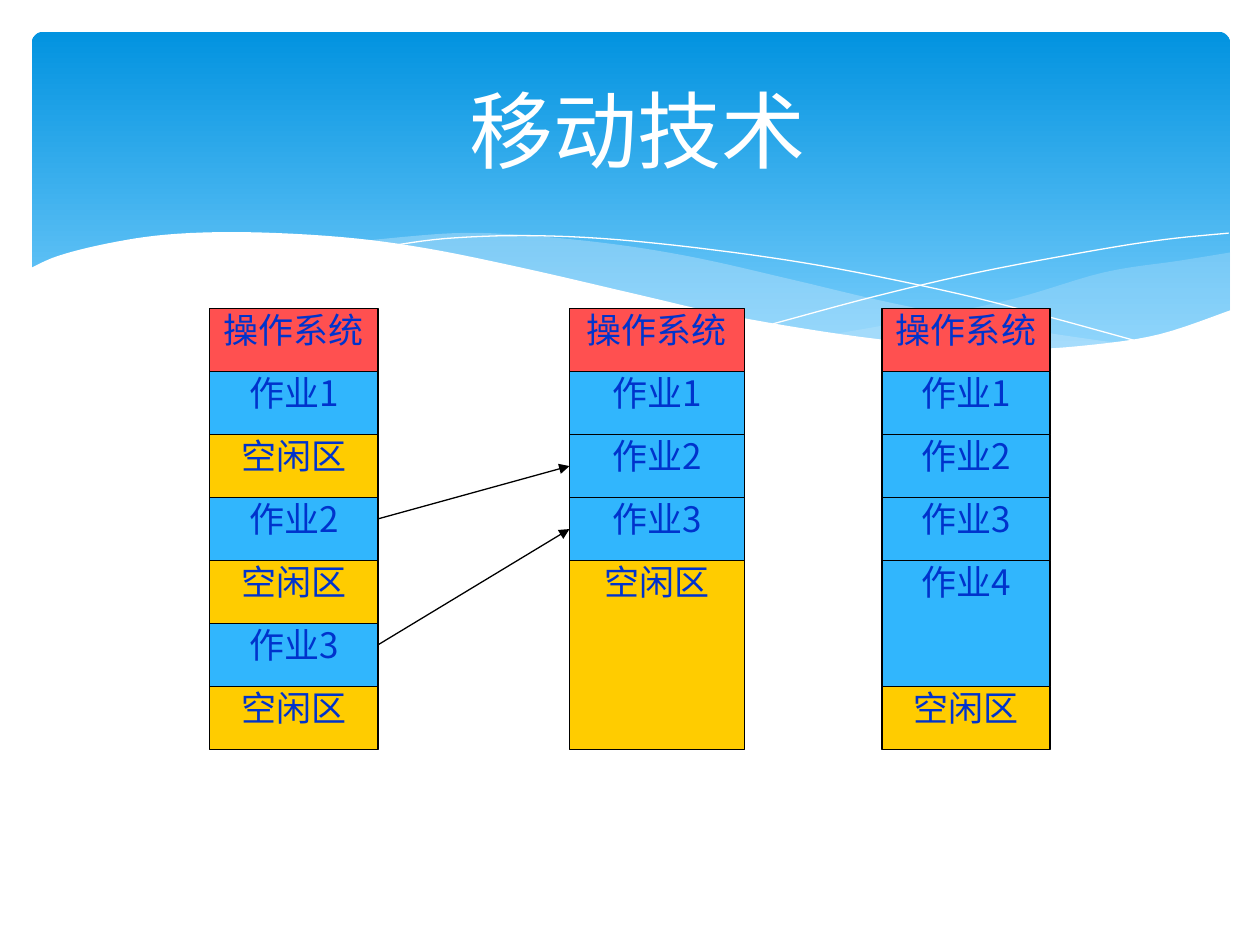
from pptx import Presentation
from pptx.dml.color import RGBColor
from pptx.enum.shapes import MSO_CONNECTOR as Connector, MSO_SHAPE as Shape
from pptx.enum.text import MSO_ANCHOR as Anchor, PP_ALIGN as Align
from pptx.oxml.ns import qn
from pptx.util import Cm, Pt
from lxml.etree import SubElement

COLORS = {"top": "0293E0", "bottom": "83D3FE", "wave": "C6E7FC", "white": "FFFFFF", "black": "000000",
          "system": "FF5050", "job": "31B6FD", "free": "FFCC00", "text": "0033CC"}
TITLE_FONT, CELL_FONT = "Cabin", "Noto Sans CJK JP"
ROW = 1.27
UNIT = 1000

RIGHT_TOP = [(24.16, 4.45), (23.11, 4.62), (21.62, 4.85), (19.81, 5.38), (17.88, 5.79), (16.15, 6.1)]
RIGHT_BASE = [(16.15, 6.1), (17.27, 6.25), (18.59, 6.38), (20.04, 6.43), (21.51, 6.32), (22.76, 6.1),
              (24.16, 5.64)]
MIDDLE_TOP = [(22.05, 6.3), (19.86, 5.97), (17.3, 5.46), (15.34, 5), (13.46, 4.57), (11.79, 4.29),
              (10.03, 4.11), (8.53, 4.06), (6.63, 4.22)]
MIDDLE_BASE = [(6.63, 4.22), (8.56, 4.52), (10.21, 4.85), (11.84, 5.26), (13.74, 5.66), (15.88, 6.07),
               (17.7, 6.32), (19.58, 6.45), (20.9, 6.43), (22.05, 6.3)]
FALLING_LINE = [(7.21, 4.32), (8.33, 4.17), (9.93, 4.11), (11.79, 4.19), (14.15, 4.45), (16.26, 4.78),
                (18.67, 5.28), (20.47, 5.74), (22.4, 6.27)]
RISING_LINE = [(14.94, 5.89), (17.02, 5.33), (19.08, 4.85), (21.36, 4.42), (22.83, 4.19), (24.13, 4.06)]
FRONT_TOP = [(24.18, 5.61), (22.73, 6.1), (21.29, 6.32), (19.91, 6.4), (18.26, 6.32), (16.33, 6.1),
             (14.07, 5.72), (12.14, 5.28), (9.98, 4.78), (7.98, 4.37), (6.25, 4.14), (4.27, 4.04),
             (2.72, 4.09), (1.52, 4.27), (0.53, 4.52), (-0.05, 4.78)]
FRONT_BASE = [(-0.05, 7.72), (24.18, 7.72)]

SYSTEM = ("操作系统", "system", 1)
COLUMNS = [
    ((4.23, 6.22, 3.39), [SYSTEM, ("作业1", "job", 1), ("空闲区", "free", 1), ("作业2", "job", 1),
                          ("空闲区", "free", 1), ("作业3", "job", 1), ("空闲区", "free", 1)]),
    ((11.48, 6.22, 3.53), [SYSTEM, ("作业1", "job", 1), ("作业2", "job", 1), ("作业3", "job", 1),
                           ("空闲区", "free", 3)]),
    ((17.78, 6.22, 3.39), [SYSTEM, ("作业1", "job", 1), ("作业2", "job", 1), ("作业3", "job", 1),
                           ("作业4", "job", 2), ("空闲区", "free", 1)]),
]
MOVES = [(3, 2), (5, 3)]


def color(name):
    """Return the named colour."""
    return RGBColor.from_string(COLORS[name])


def fill_solid(shape, name):
    """Fill a shape with one named colour."""
    shape.fill.solid()
    shape.fill.fore_color.rgb = color(name)


def write(shape, text, font, size, ink, frame_format):
    """Put one centred line of text in a shape."""
    frame = shape.text_frame
    for name, value in frame_format.items():
        setattr(frame, name, value)
    para = frame.paragraphs[0]
    para.alignment = Align.CENTER
    span = para.add_run()
    span.text = text
    for name, value in {"name": font, "size": Pt(size)}.items():
        setattr(span.font, name, value)
    span.font.color.rgb = color(ink)
    SubElement(span.font._element, qn("a:ea"), typeface=font)


def smooth(knots, steps=6):
    """Return points of a Catmull-Rom curve through the knots."""
    padded = [knots[0], *knots, knots[-1]]
    points = [knots[0]]
    for a, b, c, d in zip(padded, padded[1:], padded[2:], padded[3:]):
        for step in range(1, steps + 1):
            t = step / steps
            points.append(tuple(
                (2 * q + (r - p) * t + (2 * p - 5 * q + 4 * r - s) * t ** 2 + (3 * q - p - 3 * r + s) * t ** 3) / 2
                for p, q, r, s in zip(a, b, c, d)))
    return points


def add_outline(page, box, points, closed):
    """Draw a freeform whose points are relative to the box."""
    start, *rest = [(x * UNIT, y * UNIT) for x, y in points]
    builder = page.shapes.build_freeform(*start, scale=Cm(1) / UNIT)
    builder.add_line_segments(rest, close=closed)
    shape = builder.convert_to_shape(Cm(box[0]), Cm(box[1]))
    shape.shadow.inherit = False
    return shape


def add_wave(page, box, points, name, alpha=100):
    """Draw one filled wave."""
    wave = add_outline(page, box, points, True)
    fill_solid(wave, name)
    wave.line.fill.background()
    if alpha < 100:
        tint = wave._element.spPr.find(qn("a:solidFill"))[0]
        SubElement(tint, qn("a:alpha"), val=str(alpha * 1000))


def add_banner(page, box):
    """Draw the gradient panel with its waves and thin lines."""
    panel = page.shapes.add_shape(Shape.ROUNDED_RECTANGLE, *map(Cm, box))
    panel.shadow.inherit = False
    panel.adjustments[0] = 0.034
    panel.line.fill.background()
    panel.fill.gradient()
    panel.fill.gradient_angle = 270
    for stop, name, position in zip(panel.fill.gradient_stops, ("top", "bottom"), (0, 1)):
        stop.color.rgb = color(name)
        stop.position = position
    add_wave(page, box, smooth(RIGHT_TOP) + smooth(RIGHT_BASE), "wave", 29)
    add_wave(page, box, smooth(MIDDLE_TOP) + smooth(MIDDLE_BASE), "wave", 40)
    for knots in (FALLING_LINE, RISING_LINE):
        curve = add_outline(page, box, smooth(knots), False)
        curve.fill.background()
        curve.line.color.rgb = color("white")
        curve.line.width = Pt(0)
    add_wave(page, box, smooth(FRONT_TOP) + FRONT_BASE, "white")


def add_title(page, box, text):
    """Place the slide title."""
    title = page.shapes.add_textbox(*map(Cm, box))
    write(title, text, TITLE_FONT, 48, "white", {"word_wrap": True, "vertical_anchor": Anchor.MIDDLE})


def add_memory(page, box, blocks):
    """Stack memory blocks downwards and return them."""
    left, top, width = box
    cells = []
    for text, kind, rows in blocks:
        cell = page.shapes.add_shape(Shape.RECTANGLE, Cm(left), Cm(top), Cm(width), Cm(ROW * rows))
        cell.shadow.inherit = False
        fill_solid(cell, kind)
        cell.line.color.rgb = color("black")
        cell.line.width = Pt(0.75)
        margins = {f"margin_{side}": 0 for side in ("left", "top", "right", "bottom")}
        write(cell, text, CELL_FONT, 20, "text", {"vertical_anchor": Anchor.TOP, **margins})
        cells.append(cell)
        top += ROW * rows
    return cells


def add_move(page, source, target):
    """Draw an arrow from a block to its new place."""
    arrow = page.shapes.add_connector(Connector.STRAIGHT, source.left + source.width, source.top + Cm(0.43),
                                      target.left, target.top + target.height // 2)
    arrow.end_connect(target, 1)
    arrow.line.color.rgb = color("black")
    arrow.line.width = Pt(0.75)
    SubElement(arrow.line._get_or_add_ln(), qn("a:tailEnd"), type="triangle")
    SubElement(arrow._element.spPr, qn("a:effectLst"))


def main():
    """Build the slide and save it."""
    deck = Presentation()
    deck.slide_width, deck.slide_height = Cm(25.4), Cm(19.05)
    page = deck.slides.add_slide(deck.slide_layouts[6])
    add_banner(page, (0.64, 0.64, 24.16, 6.86))
    add_title(page, (1.6, 1.32, 22.5, 2.54), "移动技术")
    before, after, _ = [add_memory(page, box, blocks) for box, blocks in COLUMNS]
    for old, new in MOVES:
        add_move(page, before[old], after[new])
    deck.save("out.pptx")


if __name__ == "__main__":
    main()
